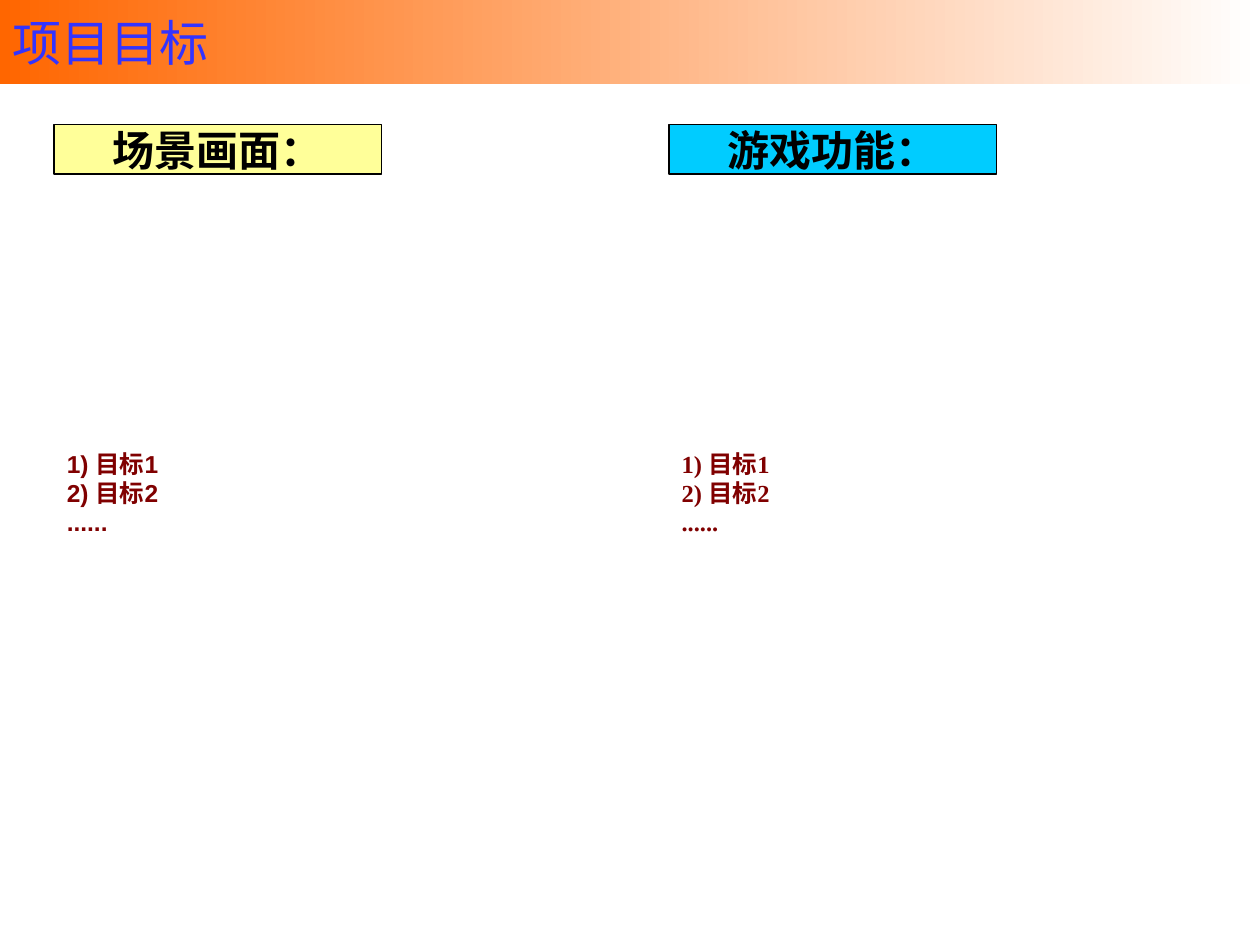
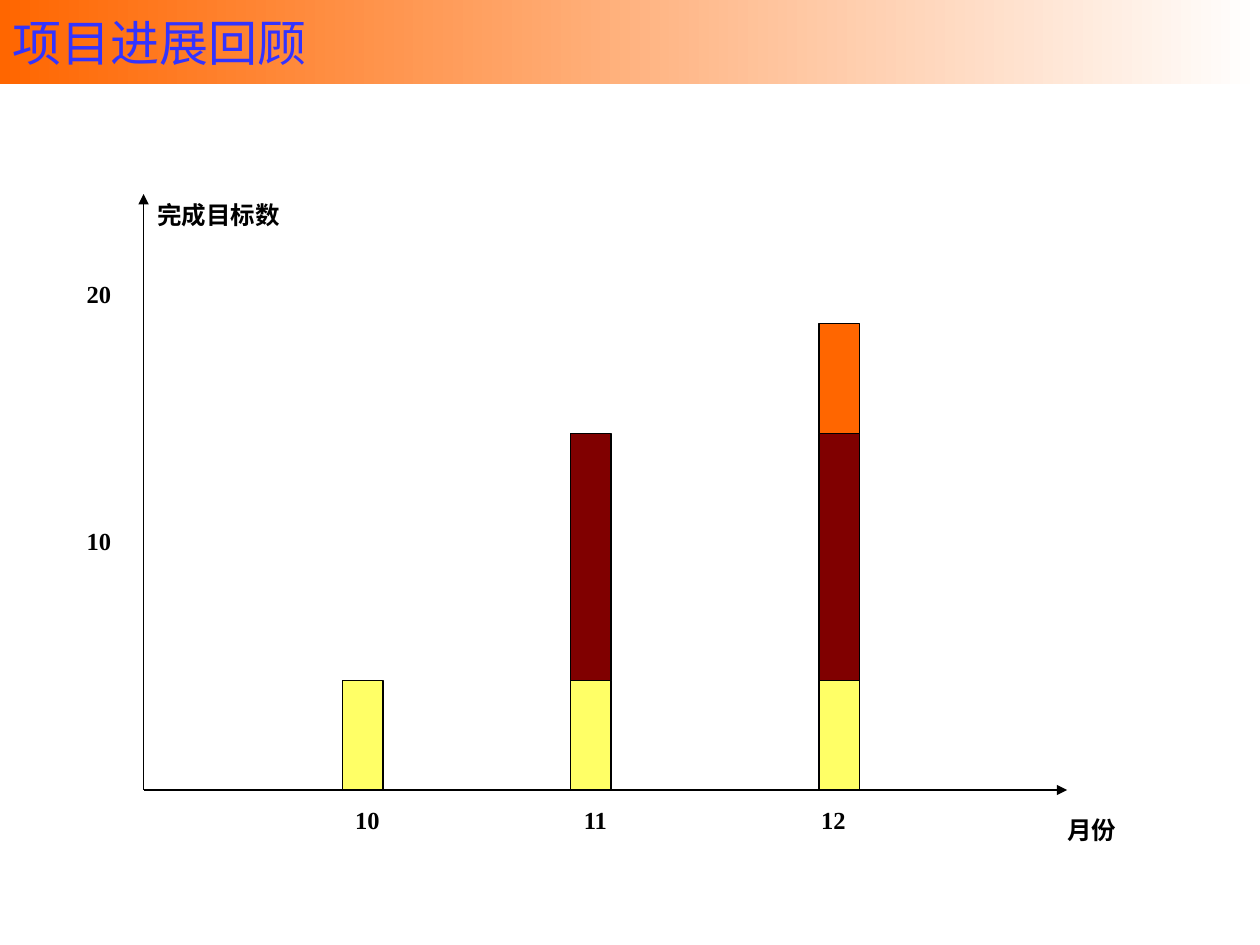
import pptx
import pptx.util
import pptx.dml.color
import pptx.enum.shapes
import pptx.enum.text
import pptx.oxml.ns
import lxml.etree

Inches = pptx.util.Inches
Pt = pptx.util.Pt
color = pptx.dml.color.RGBColor.from_string
qn = pptx.oxml.ns.qn
Align = pptx.enum.text.PP_ALIGN
SANS = "Noto Sans CJK SC"
SERIF = "Times New Roman"
BLACK, WHITE = "000000", "FFFFFF"
MAROON, ORANGE, YELLOW = "800000", "FF6600", "FFFF66"


def write(shape, text, size=14, font=SERIF, ink=BLACK, bold=True,
          align=Align.CENTER, wrap=False, foot=0.05):
    """Fill a shape with one paragraph per line of text."""
    frame = shape.text_frame
    frame.text = text
    frame.auto_size = pptx.enum.text.MSO_AUTO_SIZE.NONE
    frame.word_wrap = wrap
    frame.vertical_anchor = pptx.enum.text.MSO_ANCHOR.MIDDLE
    frame.margin_left = frame.margin_right = Inches(0.1)
    frame.margin_top, frame.margin_bottom = Inches(0.05), Inches(foot)
    for para in frame.paragraphs:
        para.alignment = align
        para.space_before = Pt(0)
        props = para._p.get_or_add_pPr()
        props.set("marL", "0")
        props.set("indent", "0")
        lxml.etree.SubElement(props, qn("a:buNone"))
        for run in para.runs:
            run.font.size = Pt(size)
            run.font.name = font
            run.font.bold = bold
            run.font.color.rgb = color(ink)
            east = lxml.etree.SubElement(run._r.get_or_add_rPr(), qn("a:ea"))
            east.set("typeface", SANS)


def box(slide, left, top, width, height, fill, line=BLACK):
    """Add a plain rectangle; line=None leaves it without an outline."""
    shape = slide.shapes.add_shape(
        pptx.enum.shapes.MSO_SHAPE.RECTANGLE,
        Inches(left), Inches(top), Inches(width), Inches(height))
    shape.shadow.inherit = False
    shape.fill.solid()
    shape.fill.fore_color.rgb = color(fill)
    if line:
        shape.line.color.rgb = color(line)
        shape.line.width = Pt(0.75)
    else:
        shape.line.fill.background()
    return shape


deck = pptx.Presentation()
deck.slide_width, deck.slide_height = Inches(10), Inches(7.5)

# Shared title band: two-content layout for goals, title-only for progress
pages = []
for name, style in (("项目目标", 3), ("项目进展回顾", 5)):
    page = deck.slides.add_slide(deck.slide_layouts[style])
    band = page.shapes.title
    band.left, band.top = Inches(0), Inches(0)
    band.width, band.height = Inches(10), Inches(0.67)
    band.fill.gradient()
    band.fill.gradient_angle = 0
    for stop, tone in zip(band.fill.gradient_stops, (ORANGE, WHITE)):
        stop.color.rgb = color(tone)
    write(band, name, size=28, font=SANS, ink="3333FF", bold=False,
          align=Align.LEFT, wrap=True)
    pages.append(page)
goals, review = pages

# Goals: a heading over a list in each column
columns = (
    (1, 0.43, "场景画面：", "FFFF99", "Arial"),
    (2, 5.31, "游戏功能：", "00CCFF", SERIF),
)
for slot, left, head, fill, font in columns:
    body = goals.placeholders[slot]
    body.left, body.top = Inches(left), Inches(1.39)
    body.width, body.height = Inches(3.47), Inches(5.28)
    write(body, "1) 目标1\n2) 目标2\n......", font=font, ink=MAROON,
          align=Align.LEFT, wrap=True, foot=0.29)
    write(box(goals, left, 0.99, 2.6, 0.39, fill), head, size=24)

# Review: axes with arrowheads
zero, base = 1.14, 6.27
for right, top in ((zero, 1.54), (8.47, base)):
    axis = review.shapes.add_connector(
        pptx.enum.shapes.MSO_CONNECTOR.STRAIGHT,
        Inches(zero), Inches(base), Inches(right), Inches(top))
    axis.line.color.rgb = color(BLACK)
    axis.line.width = Pt(0.75)
    tip = lxml.etree.SubElement(axis.line._get_or_add_ln(), qn("a:tailEnd"))
    tip.set("type", "triangle")
    lxml.etree.SubElement(axis._element.spPr, qn("a:effectLst"))

# Axis names, scale and months
labels = (
    ("完成目标数", 1.3, 1.55, 0.87),
    ("月份", 8.23, 6.43, 0.87),
    ("20", 0.51, 2.18, 0.55),
    ("10", 0.51, 4.14, 0.55),
    ("10", 2.64, 6.35, 0.55),
    ("11", 4.45, 6.35, 0.55),
    ("12", 6.34, 6.35, 0.55),
)
for text, left, top, width in labels:
    write(box(review, left, top, width, 0.31, WHITE, line=None), text)

# Stacked bars: each month adds one part on top
parts = ((0.87, YELLOW), (1.96, MAROON), (0.87, ORANGE))
for count, left in enumerate((2.72, 4.53, 6.5), start=1):
    top = base
    for height, fill in parts[:count]:
        top -= height
        box(review, left, top, 0.32, height, fill)

deck.save("out.pptx")
